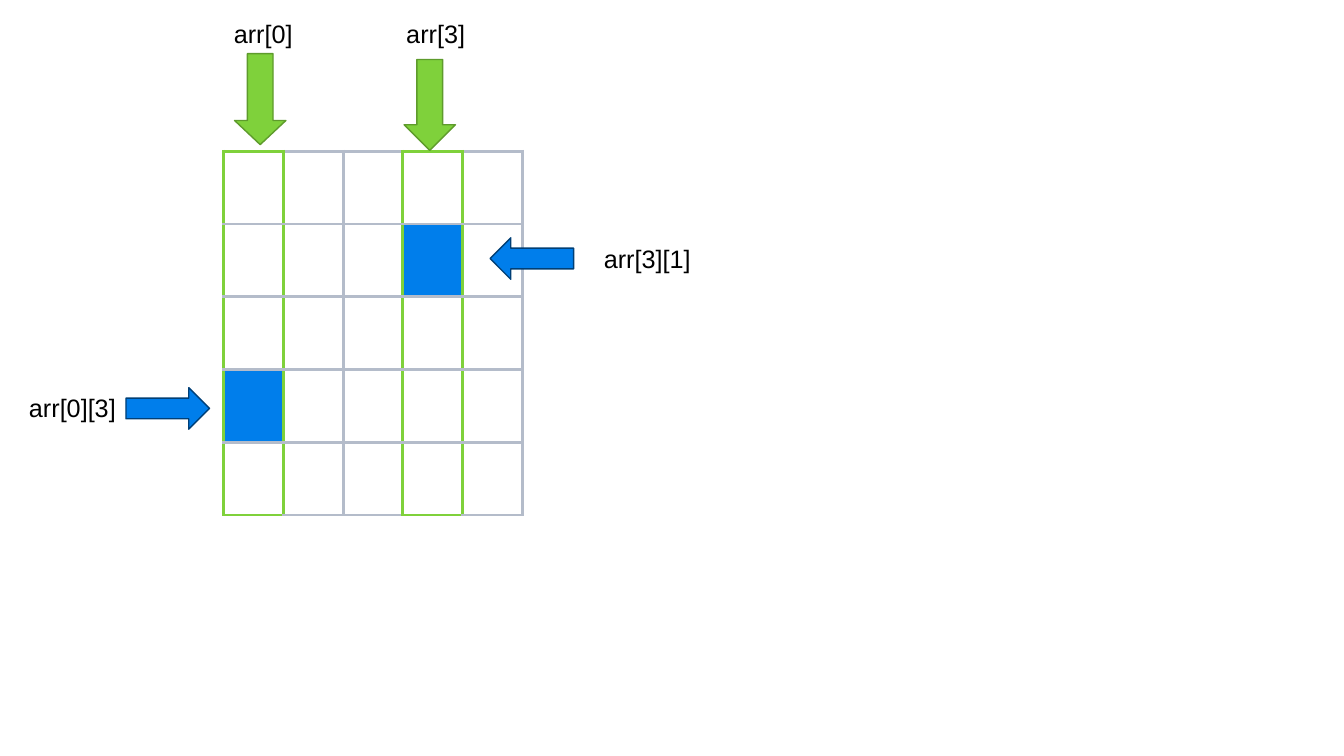
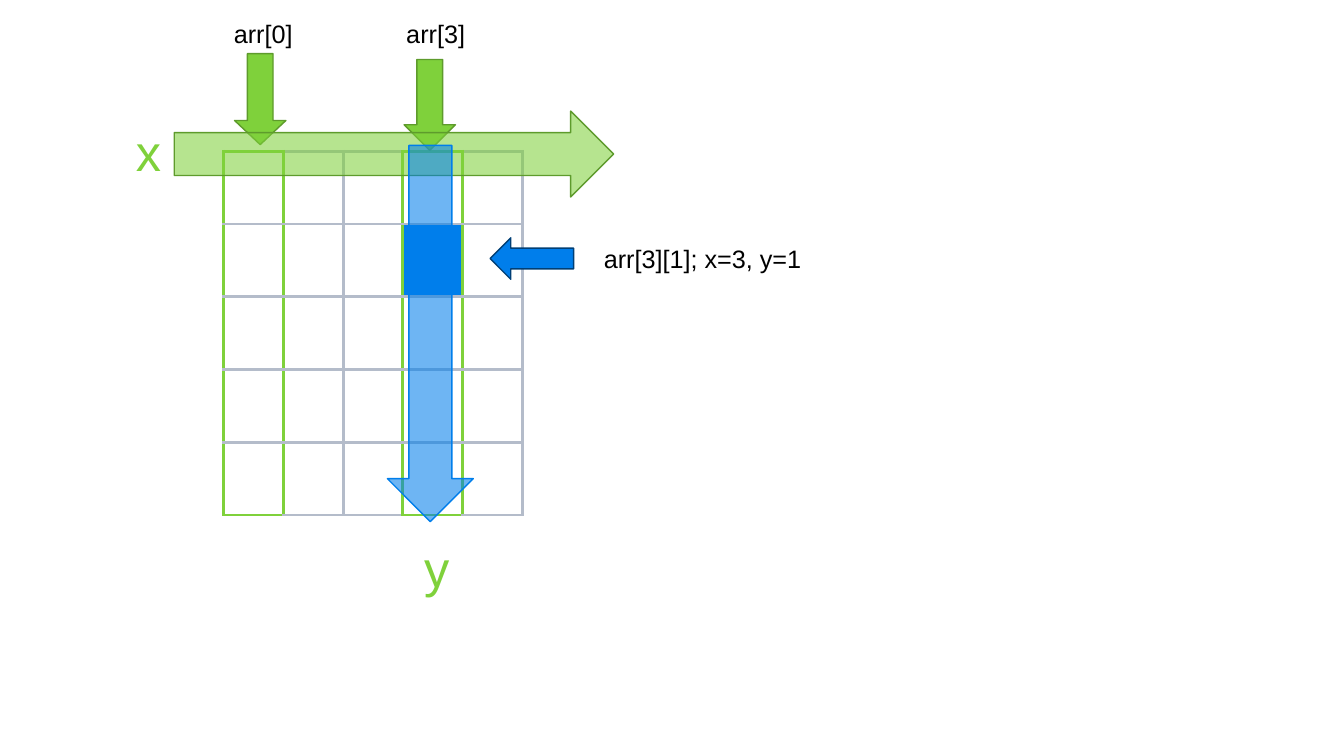
import lxml.etree
import pptx
import pptx.dml.color
import pptx.enum.shapes
import pptx.enum.text
import pptx.oxml.ns
import pptx.util

GREEN, DARK_GREEN = "7FD13B", "5E9B2C"
BLUE, DARK_BLUE = "007EEB", "003F76"
GREY, WHITE, BLACK = "B4BCCA", "FFFFFF", "000000"
FONT = "Arial"

qn = pptx.oxml.ns.qn
MSO = pptx.enum.shapes.MSO_SHAPE
prs = pptx.Presentation()
prs.slide_width = pptx.util.Inches(13.33)
prs.slide_height = pptx.util.Inches(7.5)

# Array grid: every position below is counted in its columns and rows
SIZE = 5
LEFT, TOP = pptx.util.Inches(2.22), pptx.util.Inches(1.5)
COL, ROW = pptx.util.Inches(2.96 / SIZE), pptx.util.Inches(3.61 / SIZE)
GREEN_COLS = (0, 3)


def box(col, row, cols, rows):
    """Turn grid units into left, top, width and height."""
    return (int(LEFT + col * COL), int(TOP + row * ROW),
            int(cols * COL), int(rows * ROW))


def rgb(color):
    return pptx.dml.color.RGBColor.from_string(color)


# Arrows: shape, grid box, head length, fill, line, opacity in percent
COLUMN_ARROWS = [
    (MSO.DOWN_ARROW, (0.18, -1.34, 0.86, 1.25), 0.47, GREEN, DARK_GREEN, 100),
    (MSO.DOWN_ARROW, (3.02, -1.26, 0.86, 1.25), 0.5, GREEN, DARK_GREEN, 100),
    (MSO.LEFT_ARROW, (4.46, 1.19, 1.4, 0.57), 0.5, BLUE, DARK_BLUE, 100),
]
CELL_ARROW = (MSO.RIGHT_ARROW, (-1.64, 3.25, 1.4, 0.57), 0.5, BLUE, DARK_BLUE, 100)
AXIS_ARROWS = [
    (MSO.RIGHT_ARROW, (-0.83, -0.55, 7.36, 1.18), 0.5, GREEN, DARK_GREEN, 57),
    (MSO.DOWN_ARROW, (2.74, -0.08, 1.44, 5.17), 0.5, BLUE, BLUE, 57),
]

# Labels: text, grid box, size, colour
COLUMN_LABELS = [
    ("arr[0]", (0, -1.9, 1.32, 0.55), 18, BLACK),
    ("arr[3]", (2.89, -1.9, 1.32, 0.55), 18, BLACK),
]
CELL_LABELS = [
    ("arr[0][3]", (-3.43, 3.25, 1.79, 0.55), 18, BLACK),
    ("arr[3][1]", (6.2, 1.2, 1.79, 0.55), 18, BLACK),
]
AXIS_LABELS = [
    ("arr[3][1]; x=3, y=1", (6.2, 1.2, 3.65, 0.55), 18, BLACK),
    ("x", (-1.64, -0.48, 0.76, 0.97), 36, GREEN),
    ("y", (3.19, 5.24, 0.76, 0.97), 36, GREEN),
]

# Slides: highlighted (column, row) cells, arrows, labels
SLIDES = [
    ([(0, 3), (3, 1)], COLUMN_ARROWS + [CELL_ARROW], COLUMN_LABELS + CELL_LABELS),
    ([(3, 1)], COLUMN_ARROWS + AXIS_ARROWS, COLUMN_LABELS + AXIS_LABELS),
]

for highlights, arrows, labels in SLIDES:
    s = prs.slides.add_slide(prs.slide_layouts[6])

    table = s.shapes.add_table(SIZE, SIZE, *box(0, 0, SIZE, SIZE)).table
    table.first_row = table.horz_banding = False
    for i in range(SIZE):
        table.columns[i].width, table.rows[i].height = COL, ROW
    for row in range(SIZE):
        for col in range(SIZE):
            cell = table.cell(row, col)
            green = col in GREEN_COLS
            borders = {
                "a:lnL": green or col - 1 in GREEN_COLS,
                "a:lnR": green or col + 1 in GREEN_COLS,
                "a:lnT": green and row == 0,
                "a:lnB": green and row == SIZE - 1,
            }
            tcPr = cell._tc.get_or_add_tcPr()
            for tag, is_green in borders.items():
                ln = lxml.etree.SubElement(tcPr, qn(tag), w=str(pptx.util.Pt(2.25)))
                solid = lxml.etree.SubElement(ln, qn("a:solidFill"))
                lxml.etree.SubElement(solid, qn("a:srgbClr"),
                                      val=GREEN if is_green else GREY)
            cell.fill.solid()
            cell.fill.fore_color.rgb = rgb(BLUE if (col, row) in highlights else WHITE)

    for kind, place, head, fill, line, opacity in arrows:
        sp = s.shapes.add_shape(kind, *box(*place))
        sp.shadow.inherit = False
        sp.adjustments[0], sp.adjustments[1] = 0.5, head
        sp.fill.solid()
        sp.fill.fore_color.rgb = rgb(fill)
        sp.line.color.rgb = rgb(line)
        sp.line.width = pptx.util.Pt(1)
        if opacity < 100:
            clr = sp.element.spPr.find(qn("a:solidFill")).find(qn("a:srgbClr"))
            lxml.etree.SubElement(clr, qn("a:alpha"), val=str(opacity * 1000))

    for text, place, size, color in labels:
        tf = s.shapes.add_textbox(*box(*place)).text_frame
        tf.word_wrap = False
        tf.auto_size = pptx.enum.text.MSO_AUTO_SIZE.SHAPE_TO_FIT_TEXT
        p = tf.paragraphs[0]
        p.text = text
        p.font.name, p.font.size = FONT, pptx.util.Pt(size)
        p.font.color.rgb = rgb(color)

prs.save("out.pptx")
